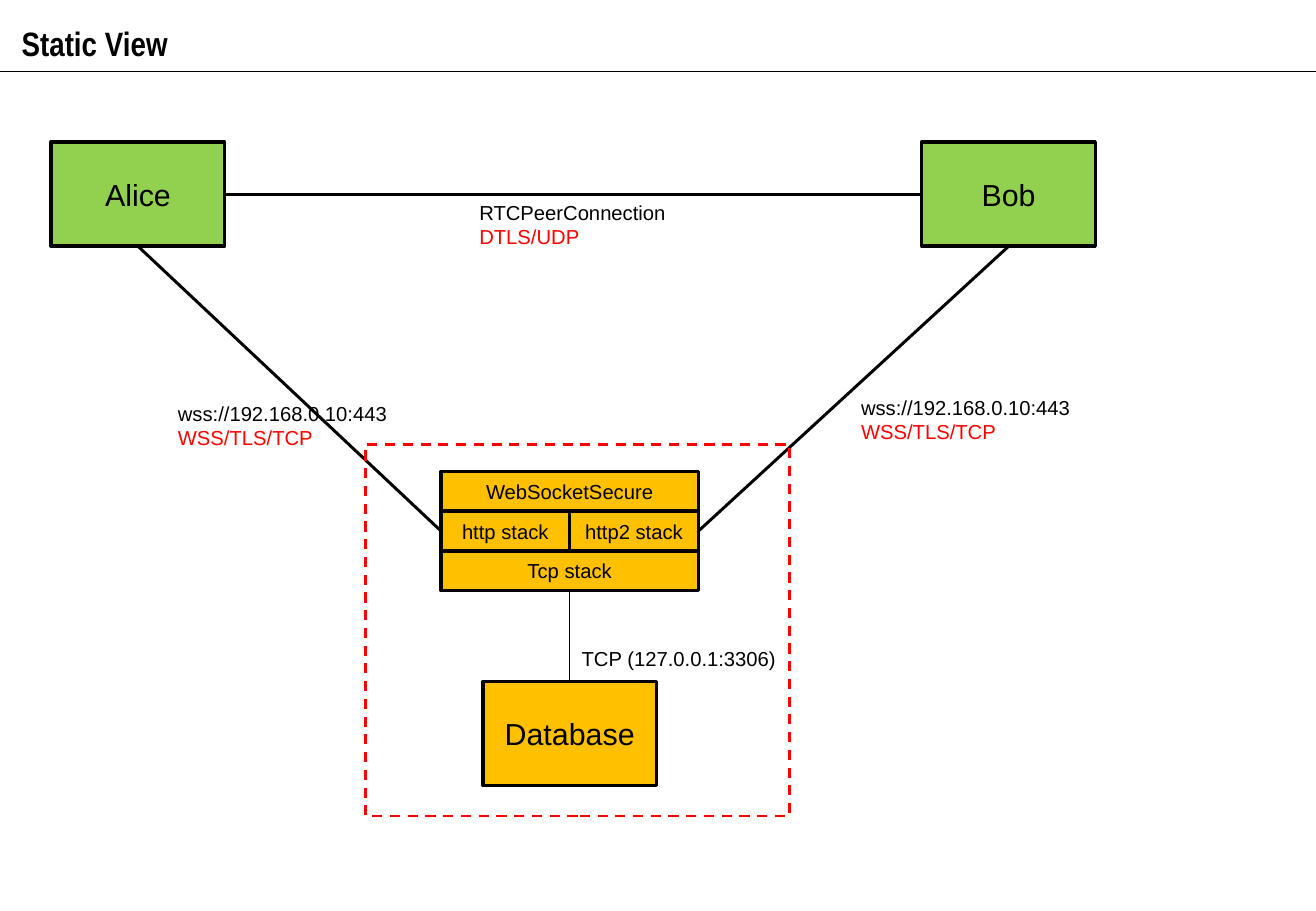
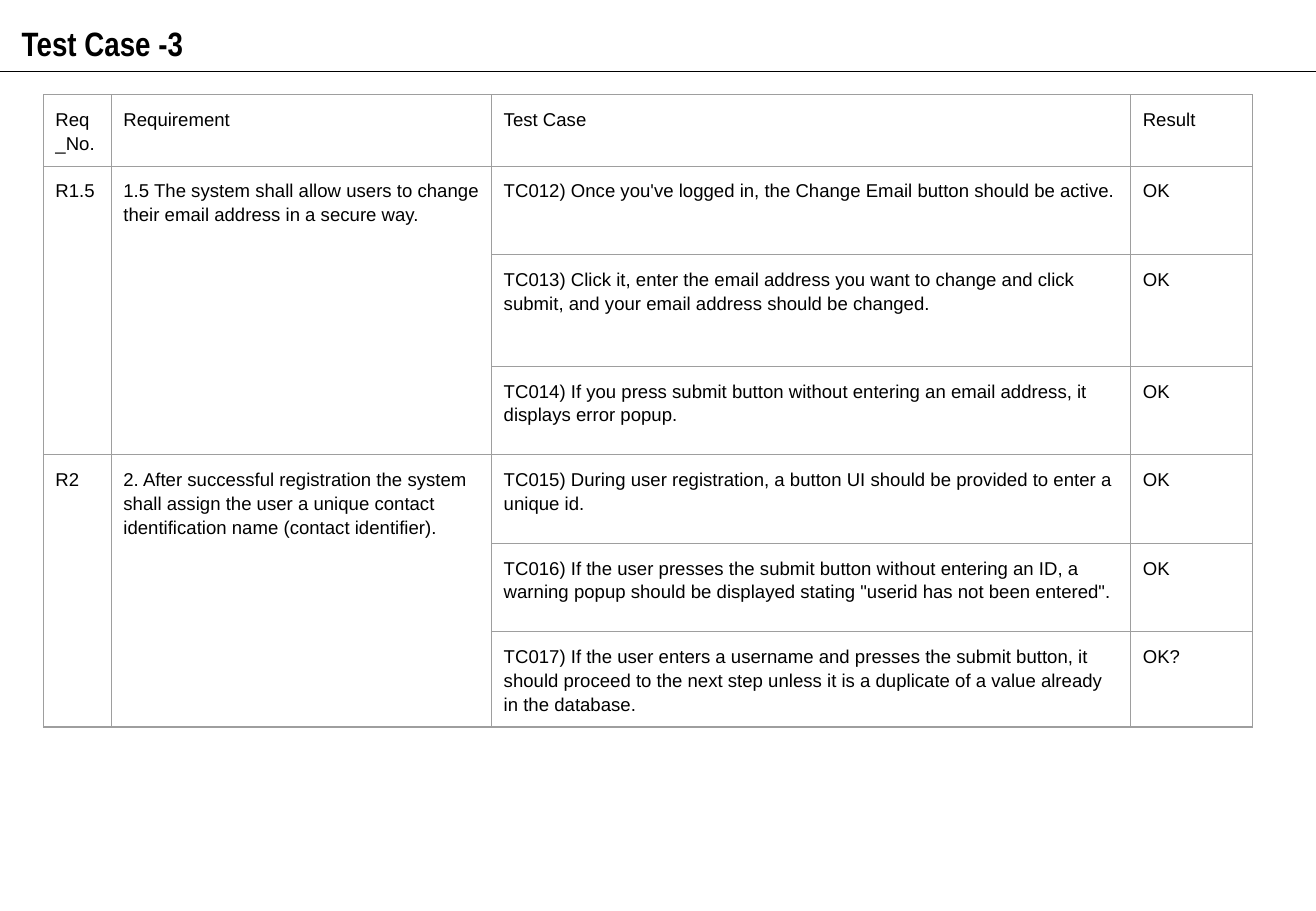
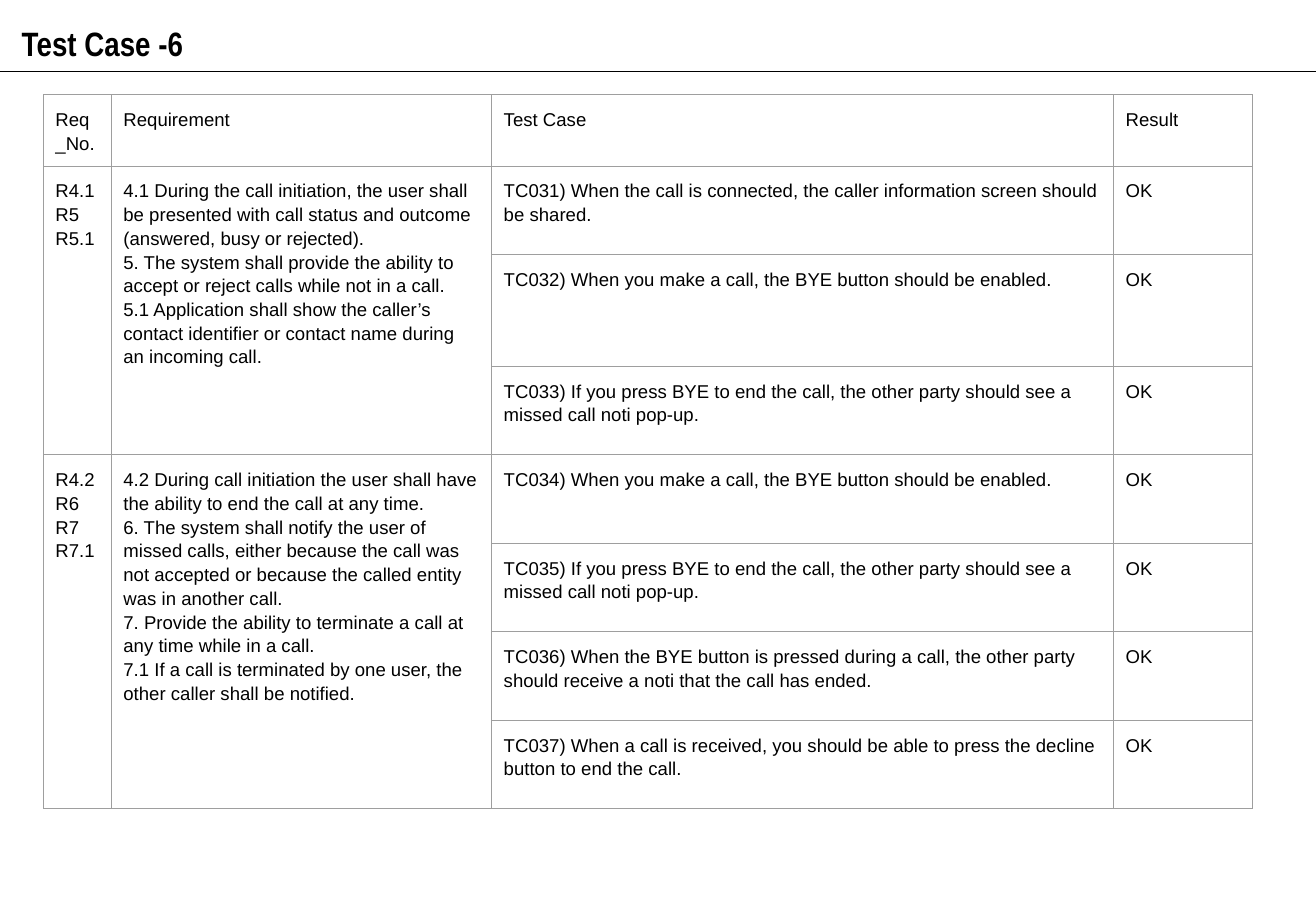
from dataclasses import dataclass

from lxml.etree import SubElement
from pptx import Presentation
from pptx.dml.color import RGBColor
from pptx.enum.dml import MSO_LINE
from pptx.enum.shapes import MSO_CONNECTOR, MSO_SHAPE
from pptx.enum.text import MSO_ANCHOR, MSO_AUTO_SIZE, PP_ALIGN
from pptx.oxml.ns import qn
from pptx.shapes.autoshape import Shape
from pptx.shapes.connector import Connector
from pptx.slide import Slide
from pptx.table import _Cell
from pptx.text.text import TextFrame, _Paragraph
from pptx.util import Cm, Pt


@dataclass(frozen=True)
class Theme:
    black: RGBColor = RGBColor(0x00, 0x00, 0x00)
    red: RGBColor = RGBColor(0xFF, 0x00, 0x00)
    green: RGBColor = RGBColor(0x92, 0xD0, 0x50)
    amber: RGBColor = RGBColor(0xFF, 0xC0, 0x00)
    grid: str = "9E9E9E"
    title_font: str = "Arial Narrow"
    body_font: str = "Arial"
    title_size: float = 20
    node_size: float = 18
    label_size: float = 12
    cell_size: float = 11
    hairline: float = 0.75
    link_line: float = 1.75
    node_line: float = 2


@dataclass(frozen=True)
class Node:
    """A labelled box; lengths in centimetres."""
    name: str
    left: float
    top: float
    width: float
    height: float
    fill: RGBColor
    size: float


@dataclass(frozen=True)
class Link:
    start: str
    start_site: int
    end: str
    end_site: int
    weight: float


@dataclass(frozen=True)
class Label:
    left: float
    top: float
    width: float
    address: str
    protocol: str = ""


@dataclass(frozen=True)
class TestCase:
    text: str
    result: str = "OK"


@dataclass(frozen=True)
class RequirementGroup:
    numbers: tuple[str, ...]
    requirements: tuple[str, ...]
    cases: tuple[TestCase, ...]


@dataclass(frozen=True)
class TestPage:
    title: str
    result_width: float
    groups: tuple[RequirementGroup, ...]


THEME = Theme()
SLIDE_WIDTH, SLIDE_HEIGHT = 27.51, 19.05
TOP, LEFT, BOTTOM, RIGHT = range(4)  # connection sites of a rectangle

PEER_WIDTH, PEER_HEIGHT = 3.63, 2.18
STACK_LEFT, STACK_TOP, STACK_WIDTH, LAYER = 9.22, 9.86, 5.38, 0.83
HALF_STACK = STACK_WIDTH / 2


def peer(name: str, left: float, top: float, fill: RGBColor) -> Node:
    return Node(name, left, top, PEER_WIDTH, PEER_HEIGHT, fill, THEME.node_size)


def layer(name: str, row: int, left: float = STACK_LEFT, width: float = STACK_WIDTH) -> Node:
    return Node(name, left, STACK_TOP + row * LAYER, width, LAYER, THEME.amber, THEME.label_size)


NODES = (
    peer("Alice", 1.07, 2.97, THEME.green),
    peer("Bob", 19.27, 2.97, THEME.green),
    peer("Database", STACK_LEFT + (STACK_WIDTH - PEER_WIDTH) / 2, 14.25, THEME.amber),
    layer("Tcp stack", 2),
    layer("http stack", 1, width=HALF_STACK),
    layer("http2 stack", 1, STACK_LEFT + HALF_STACK, HALF_STACK),
    layer("WebSocketSecure", 0),
)
LINKS = (
    Link("Tcp stack", BOTTOM, "Database", TOP, THEME.hairline),
    Link("Alice", BOTTOM, "http stack", LEFT, THEME.link_line),
    Link("Bob", BOTTOM, "http2 stack", RIGHT, THEME.link_line),
    Link("Alice", RIGHT, "Bob", LEFT, THEME.link_line),
)
LABELS = (
    Label(11.91, 13.39, 4.7, "TCP (127.0.0.1:3306)"),
    Label(3.47, 8.27, 5.1, "wss://192.168.0.10:443", "WSS/TLS/TCP"),
    Label(17.75, 8.14, 5.1, "wss://192.168.0.10:443", "WSS/TLS/TCP"),
    Label(9.77, 4.06, 4.6, "RTCPeerConnection", "DTLS/UDP"),
)

HEADINGS = ("Req_No.", "Requirement", "Test Case", "Result")
NUMBER_WIDTH, REQUIREMENT_WIDTH, CASE_AND_RESULT_WIDTH = 1.42, 7.95, 15.9
HEADER_HEIGHT, CASE_HEIGHT, TALL_HEIGHT = 1.37, 1.85, 2.34
TALL_ROW = 2

TEST_PAGES = (
    TestPage("Test Case -3", 2.54, (
        RequirementGroup(
            ("R1.5",),
            ("1.5 The system shall allow users to change their email address in a secure way.",),
            (
                TestCase("TC012) Once you've logged in, the Change Email button should be active."),
                TestCase("TC013) Click it, enter the email address you want to change and click "
                         "submit, and your email address should be changed."),
                TestCase("TC014) If you press submit button without entering an email address, "
                         "it displays error popup."),
            ),
        ),
        RequirementGroup(
            ("R2",),
            ("2. After successful registration the system shall assign the user a unique contact "
             "identification name (contact identifier).",),
            (
                TestCase("TC015) During user registration, a button UI should be provided to "
                         "enter a unique id."),
                TestCase("TC016) If the user presses the submit button without entering an ID, a "
                         'warning popup should be displayed stating "userid has not been entered".'),
                TestCase("TC017) If the user enters a username and presses the submit button, it "
                         "should proceed to the next step unless it is a duplicate of a value "
                         "already in the database.", "OK?"),
            ),
        ),
    )),
    TestPage("Test Case -6", 2.9, (
        RequirementGroup(
            ("R4.1", "R5", "R5.1"),
            (
                "4.1 During the call initiation, the user shall be presented with call status "
                "and outcome (answered, busy or rejected).",
                "5. The system shall provide the ability to accept or reject calls while not in "
                "a call.",
                "5.1 Application shall show the caller’s contact identifier or contact name "
                "during an incoming call.",
            ),
            (
                TestCase("TC031) When the call is connected, the caller information screen "
                         "should be shared."),
                TestCase("TC032) When you make a call, the BYE button should be enabled."),
                TestCase("TC033) If you press BYE to end the call, the other party should see a "
                         "missed call noti pop-up."),
            ),
        ),
        RequirementGroup(
            ("R4.2", "R6", "R7", "R7.1"),
            (
                "4.2 During call initiation the user shall have the ability to end the call at "
                "any time.",
                "6. The system shall notify the user of missed calls, either because the call "
                "was not accepted or because the called entity was in another call.",
                "7. Provide the ability to terminate a call at any time while in a call.",
                "7.1 If a call is terminated by one user, the other caller shall be notified.",
            ),
            (
                TestCase("TC034) When you make a call, the BYE button should be enabled."),
                TestCase("TC035) If you press BYE to end the call, the other party should see a "
                         "missed call noti pop-up."),
                TestCase("TC036) When the BYE button is pressed during a call, the other party "
                         "should receive a noti that the call has ended."),
                TestCase("TC037) When a call is received, you should be able to press the "
                         "decline button to end the call."),
            ),
        ),
    )),
)


def add_run(paragraph: _Paragraph, text: str, size: float, color: RGBColor = THEME.black,
            font: str = THEME.body_font, bold: bool = False) -> None:
    run = paragraph.add_run()
    run.text = text
    run.font.name = font
    run.font.size = Pt(size)
    run.font.bold = bold
    run.font.color.rgb = color


def next_paragraph(frame: TextFrame, index: int) -> _Paragraph:
    """Return the frame's own first paragraph, or a new one after it."""
    return frame.add_paragraph() if index else frame.paragraphs[0]


def style_connector(connector: Connector, weight: float) -> None:
    connector.line.color.rgb = THEME.black
    connector.line.width = Pt(weight)
    SubElement(connector._element.spPr, qn("a:effectLst"))


def add_titled_slide(deck: Presentation, text: str) -> Slide:
    slide = deck.slides.add_slide(deck.slide_layouts.get_by_name("Title Only"))
    rule = slide.shapes.add_connector(
        MSO_CONNECTOR.STRAIGHT, Cm(0), Cm(1.5), Cm(SLIDE_WIDTH), Cm(1.5))
    style_connector(rule, THEME.hairline)

    title = slide.shapes.title
    title.left, title.top, title.width, title.height = Cm(0.2), Cm(0.18), Cm(19.84), Cm(1.15)
    frame = title.text_frame
    frame.auto_size = MSO_AUTO_SIZE.NONE
    frame.vertical_anchor = MSO_ANCHOR.TOP
    heading = frame.paragraphs[0]
    heading.alignment = PP_ALIGN.LEFT
    heading.line_spacing = 1.2
    add_run(heading, text, THEME.title_size, font=THEME.title_font, bold=True)
    return slide


def add_node(slide: Slide, node: Node) -> Shape:
    box = slide.shapes.add_shape(
        MSO_SHAPE.RECTANGLE, Cm(node.left), Cm(node.top), Cm(node.width), Cm(node.height))
    box.shadow.inherit = False
    box.fill.solid()
    box.fill.fore_color.rgb = node.fill
    box.line.color.rgb = THEME.black
    box.line.width = Pt(THEME.node_line)
    frame = box.text_frame
    frame.word_wrap = True
    frame.vertical_anchor = MSO_ANCHOR.MIDDLE
    frame.paragraphs[0].alignment = PP_ALIGN.CENTER
    add_run(frame.paragraphs[0], node.name, node.size)
    return box


def add_link(slide: Slide, link: Link, boxes: dict[str, Shape]) -> None:
    connector = slide.shapes.add_connector(MSO_CONNECTOR.STRAIGHT, 0, 0, 0, 0)
    connector.begin_connect(boxes[link.start], link.start_site)
    connector.end_connect(boxes[link.end], link.end_site)
    style_connector(connector, link.weight)


def add_label(slide: Slide, label: Label) -> None:
    height = 1.28 if label.protocol else 0.77
    frame = slide.shapes.add_textbox(
        Cm(label.left), Cm(label.top), Cm(label.width), Cm(height)).text_frame
    frame.word_wrap = True
    add_run(frame.paragraphs[0], label.address, THEME.label_size)
    if label.protocol:
        add_run(frame.add_paragraph(), label.protocol, THEME.label_size, THEME.red)


def add_server_boundary(slide: Slide) -> None:
    boundary = slide.shapes.add_shape(
        MSO_SHAPE.RECTANGLE, Cm(7.64), Cm(9.3), Cm(8.87), Cm(7.77))
    boundary.shadow.inherit = False
    boundary.fill.background()
    boundary.line.color.rgb = THEME.red
    boundary.line.width = Pt(1.5)
    boundary.line.dash_style = MSO_LINE.DASH


def add_static_view(deck: Presentation) -> None:
    slide = add_titled_slide(deck, "Static View")
    boxes = {node.name: add_node(slide, node) for node in NODES}
    for link in LINKS:
        add_link(slide, link, boxes)
    for label in LABELS:
        add_label(slide, label)
    add_server_boundary(slide)


def style_cell(cell: _Cell) -> None:
    cell.margin_left = cell.margin_right = cell.margin_top = cell.margin_bottom = Cm(0.25)
    properties = cell._tc.get_or_add_tcPr()
    for side in ("a:lnL", "a:lnR", "a:lnT", "a:lnB"):
        border = SubElement(properties, qn(side), w=str(Pt(THEME.hairline)))
        SubElement(SubElement(border, qn("a:solidFill")), qn("a:srgbClr"), val=THEME.grid)
    cell.fill.background()


def write_cell(cell: _Cell, *lines: str) -> None:
    for index, line in enumerate(lines):
        paragraph = next_paragraph(cell.text_frame, index)
        paragraph.line_spacing = 1.15
        add_run(paragraph, line, THEME.cell_size)


def add_test_page(deck: Presentation, page: TestPage) -> None:
    slide = add_titled_slide(deck, page.title)
    widths = (NUMBER_WIDTH, REQUIREMENT_WIDTH,
              CASE_AND_RESULT_WIDTH - page.result_width, page.result_width)
    case_count = sum(len(group.cases) for group in page.groups)
    heights = [HEADER_HEIGHT] + [CASE_HEIGHT] * case_count
    heights[TALL_ROW] = TALL_HEIGHT

    table = slide.shapes.add_table(
        len(heights), len(widths), Cm(0.91), Cm(1.98), Cm(sum(widths)), Cm(sum(heights))).table
    table.first_row = table.horz_banding = False
    for column, width in zip(table.columns, widths):
        column.width = Cm(width)
    for row, height in zip(table.rows, heights):
        row.height = Cm(height)
    for cell in table.iter_cells():
        style_cell(cell)

    for column, heading in enumerate(HEADINGS):
        write_cell(table.cell(0, column), heading)
    first = 1
    for group in page.groups:
        last = first + len(group.cases) - 1
        for column, lines in enumerate((group.numbers, group.requirements)):
            table.cell(first, column).merge(table.cell(last, column))
            write_cell(table.cell(first, column), *lines)
        for row, case in enumerate(group.cases, first):
            write_cell(table.cell(row, 2), case.text)
            write_cell(table.cell(row, 3), case.result)
        first = last + 1


def main() -> None:
    deck = Presentation()
    deck.slide_width, deck.slide_height = Cm(SLIDE_WIDTH), Cm(SLIDE_HEIGHT)
    add_static_view(deck)
    for page in TEST_PAGES:
        add_test_page(deck, page)
    deck.save("out.pptx")


if __name__ == "__main__":
    main()
